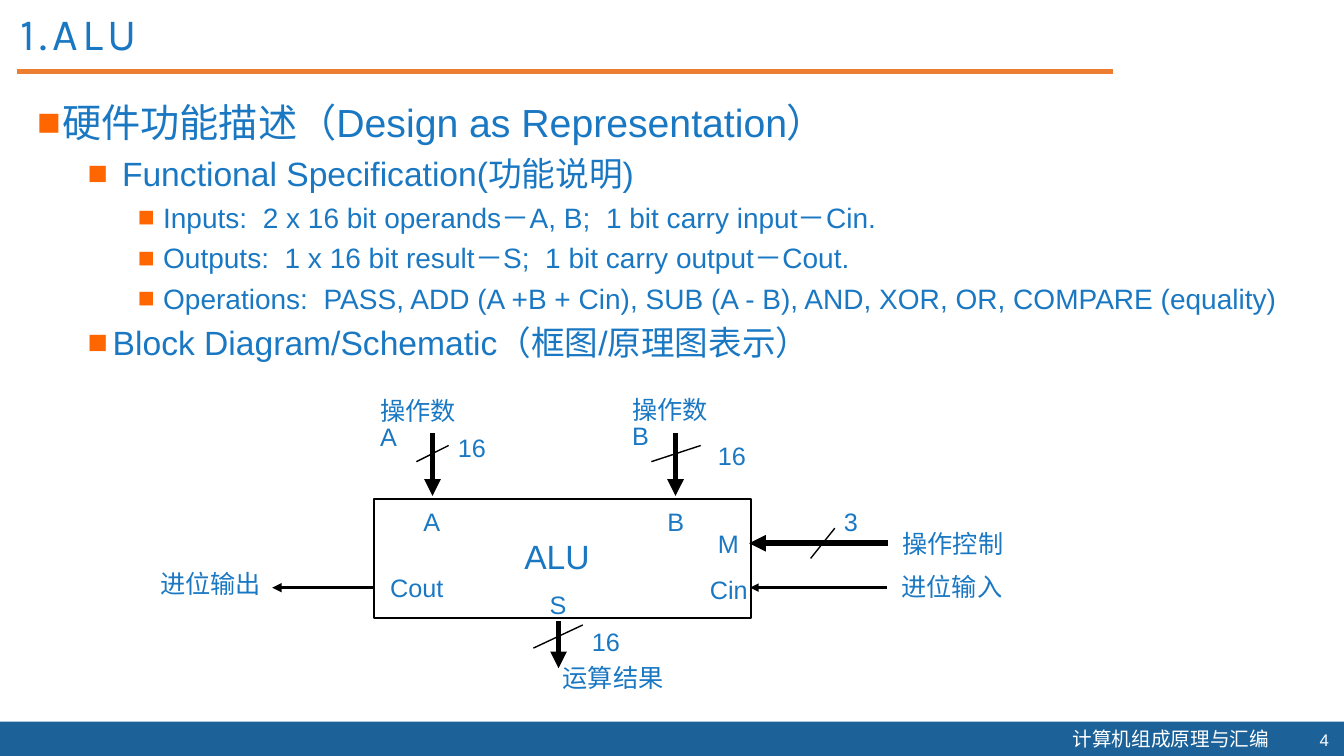
from dataclasses import dataclass

import pptx
import pptx.dml.color
import pptx.enum.shapes
import pptx.enum.text
import pptx.oxml.ns
import pptx.util
from lxml import etree

Inches = pptx.util.Inches
Pt = pptx.util.Pt
qn = pptx.oxml.ns.qn
ALIGN = pptx.enum.text.PP_ALIGN
ANCHOR = pptx.enum.text.MSO_ANCHOR


@dataclass(frozen=True)
class Theme:
    blue: str = "1A78C3"
    band: str = "1C6299"
    rule: str = "ED7D31"
    bullet: str = "FF6600"
    white: str = "FFFFFF"
    black: str = "000000"
    latin: str = "Arial"
    title_font: str = "Karla"
    chinese: str = "Noto Sans CJK SC"
    title_size: int = 32
    outline_sizes: tuple = (28, 24, 20)
    block_size: int = 24
    label_size: int = 18
    footer_size: int = 14
    number_size: int = 12


THEME = Theme()

OUTLINE = [
    (0, "硬件功能描述（Design as Representation）"),
    (1, " Functional Specification(功能说明)"),
    (2, "Inputs:  2 x 16 bit operands－A, B;  1 bit carry input－Cin."),
    (2, "Outputs:  1 x 16 bit result－S;  1 bit carry output－Cout."),
    (2, "Operations:  PASS, ADD (A +B + Cin), SUB (A - B), AND, XOR, OR, COMPARE (equality)"),
    (1, "Block Diagram/Schematic（框图/原理图表示）"),
]

# text, left, top, width
LABELS = [
    ("A", 4.13, 5.04, 0.32), ("B", 6.55, 5.04, 0.32),
    ("M", 7.05, 5.26, 0.35), ("Cin", 6.97, 5.71, 0.52),
    ("Cout", 3.8, 5.69, 0.67), ("S", 5.38, 5.86, 0.31),
    ("16", 4.47, 4.3, 0.42), ("16", 7.05, 4.38, 0.42),
    ("16", 5.8, 6.23, 0.42), ("3", 8.3, 5.04, 0.28),
    ("操作控制", 8.88, 5.26, 1.15), ("进位输入", 8.87, 5.68, 1.15),
    ("进位输出", 1.52, 5.65, 1.15), ("运算结果", 5.51, 6.59, 1.15),
]
OPERAND_LABELS = [("操作数A", 3.7, 3.94, 1), ("操作数B", 6.2, 3.93, 1)]

# start, end, line width
SIGNALS = [
    ((8.81, 5.39), (7.43, 5.39), 4),
    ((8.8, 5.83), (7.44, 5.83), 2),
    ((4.29, 4.3), (4.29, 4.92), 4),
    ((6.7, 4.3), (6.7, 4.92), 4),
    ((3.71, 5.83), (2.7, 5.83), 2.25),
    ((5.54, 6.16), (5.54, 6.63), 4),
]
BUS_SLASHES = [
    ((6.46, 4.58), (6.95, 4.42)),
    ((4.13, 4.58), (4.45, 4.42)),
    ((8.04, 5.54), (8.28, 5.24)),
    ((5.29, 6.43), (5.78, 6.2)),
]


def rgb(color):
    return pptx.dml.color.RGBColor.from_string(color)


def style_paragraph(paragraph, size, color=THEME.blue, font=THEME.latin):
    for run in paragraph.runs:
        run.font.size = Pt(size)
        run.font.name = font
        run.font.color.rgb = rgb(color)
        etree.SubElement(run.font._element, qn("a:ea"), typeface=THEME.chinese)


def add_text(slide, text, box, size, color=THEME.blue, font=THEME.latin, wrap=True):
    frame = slide.shapes.add_textbox(*map(Inches, box)).text_frame
    frame.word_wrap = wrap
    frame.text = text
    style_paragraph(frame.paragraphs[0], size, color, font)
    return frame


def add_label(slide, text, left, top, width, size=THEME.label_size, wrap=False):
    """Add a diagram label with tight margins and line spacing."""
    frame = add_text(slide, text, (left, top, width, 0.31), size, wrap=wrap)
    frame.margin_left = frame.margin_right = Inches(0.07)
    frame.margin_top = frame.margin_bottom = Inches(0.03)
    frame.paragraphs[0].line_spacing = 0.85


def add_rectangle(slide, box, fill=None, line=None):
    rectangle = slide.shapes.add_shape(
        pptx.enum.shapes.MSO_SHAPE.RECTANGLE, *map(Inches, box))
    rectangle.shadow.inherit = False
    if fill:
        rectangle.fill.solid()
        rectangle.fill.fore_color.rgb = rgb(fill)
    else:
        rectangle.fill.background()
    if line:
        rectangle.line.color.rgb = rgb(line)
        rectangle.line.width = Pt(1)
    else:
        rectangle.line.fill.background()


def add_line(slide, start, end, width, color=THEME.black, arrow=False):
    connector = slide.shapes.add_connector(
        pptx.enum.shapes.MSO_CONNECTOR.STRAIGHT, *map(Inches, start + end))
    connector.line.color.rgb = rgb(color)
    connector.line.width = Pt(width)
    if arrow:
        etree.SubElement(connector.line._get_or_add_ln(), qn("a:tailEnd"), type="triangle")
    etree.SubElement(connector._element.spPr, qn("a:effectLst"))


def add_bullet(paragraph, level):
    properties = paragraph._p.get_or_add_pPr()
    properties.set("marL", str(Inches(0.25 + 0.5 * level)))
    properties.set("indent", str(Inches(-0.25)))
    color = etree.SubElement(properties, qn("a:buClr"))
    etree.SubElement(color, qn("a:srgbClr"), val=THEME.bullet)
    etree.SubElement(properties, qn("a:buFont"), typeface=THEME.latin)
    etree.SubElement(properties, qn("a:buChar"), char="■")


def add_outline(slide):
    frame = slide.shapes.add_textbox(*map(Inches, (0.27, 0.93, 12.94, 6.07))).text_frame
    frame.word_wrap = True
    frame.text = "\n".join(text for _, text in OUTLINE)
    for index, (paragraph, (level, _)) in enumerate(zip(frame.paragraphs, OUTLINE)):
        paragraph.level = level
        add_bullet(paragraph, level)
        paragraph.space_before = Pt(5 if index else 0)
        style_paragraph(paragraph, THEME.outline_sizes[level])


def add_frame(slide):
    """Add the title, its rule and the footer band."""
    add_rectangle(slide, (0, 7.16, 13.33, 0.35), fill=THEME.band)
    add_text(slide, "计算机组成原理与汇编", (10.54, 7.16, 2.18, 0.34),
             THEME.footer_size, THEME.white, THEME.chinese)
    number = add_text(slide, "4", (12.78, 7.19, 0.5, 0.3), THEME.number_size, THEME.white)
    number.vertical_anchor = ANCHOR.MIDDLE
    number.paragraphs[0].alignment = ALIGN.RIGHT
    add_line(slide, (0.17, 0.71), (11.04, 0.71), 3, THEME.rule)
    title = add_text(slide, "1.ALU", (0.11, 0.07, 10.65, 0.48),
                     THEME.title_size, font=THEME.title_font).paragraphs[0]
    title.line_spacing = 0.9
    title.runs[0].font._element.set("spc", "300")


def add_alu_diagram(slide):
    add_rectangle(slide, (3.71, 4.95, 3.74, 1.18), line=THEME.black)
    add_label(slide, "ALU", 5.13, 5.35, 0.8, THEME.block_size)
    for start, end, width in SIGNALS:
        add_line(slide, start, end, width, arrow=True)
    for start, end in BUS_SLASHES:
        add_line(slide, start, end, 1)
    for label in LABELS:
        add_label(slide, *label)
    for label in OPERAND_LABELS:
        add_label(slide, *label, wrap=True)


def main():
    deck = pptx.Presentation()
    deck.slide_width, deck.slide_height = Inches(13.33), Inches(7.5)
    slide = deck.slides.add_slide(deck.slide_layouts[6])
    add_frame(slide)
    add_outline(slide)
    add_alu_diagram(slide)
    deck.save("out.pptx")


if __name__ == "__main__":
    main()
